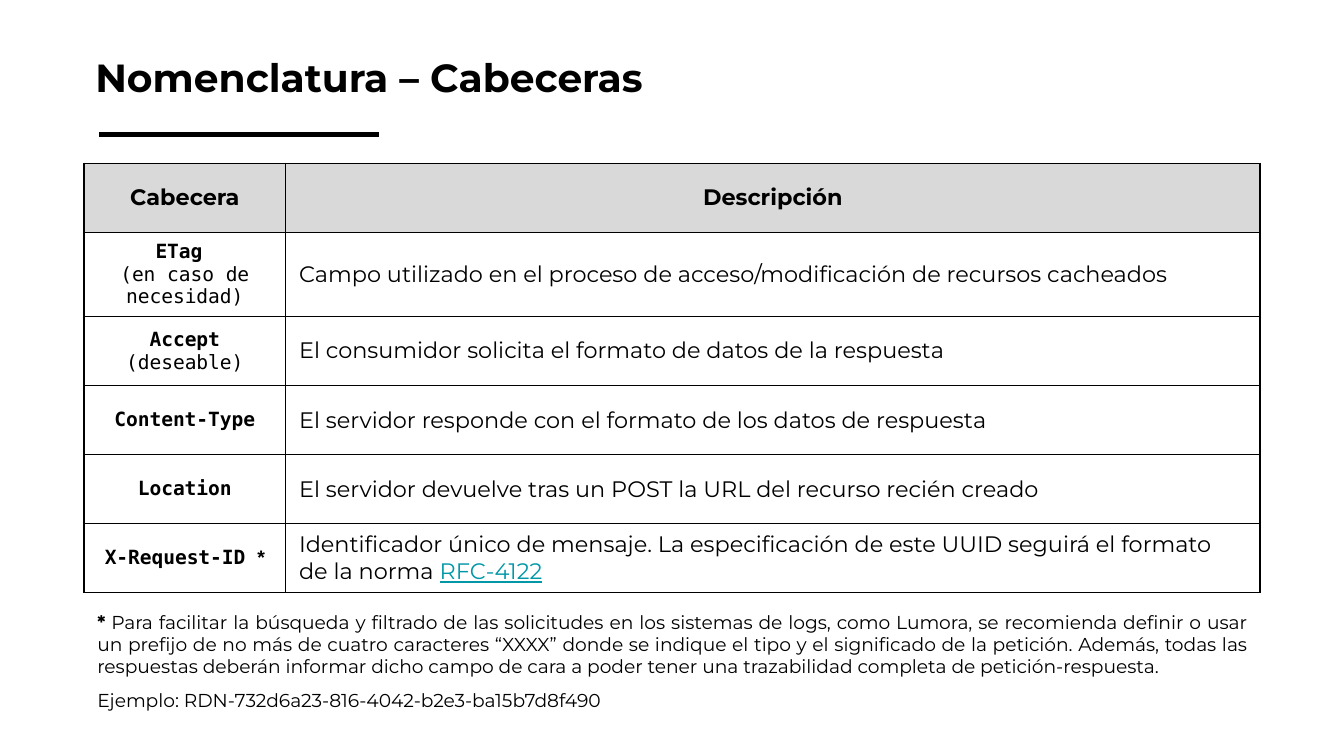
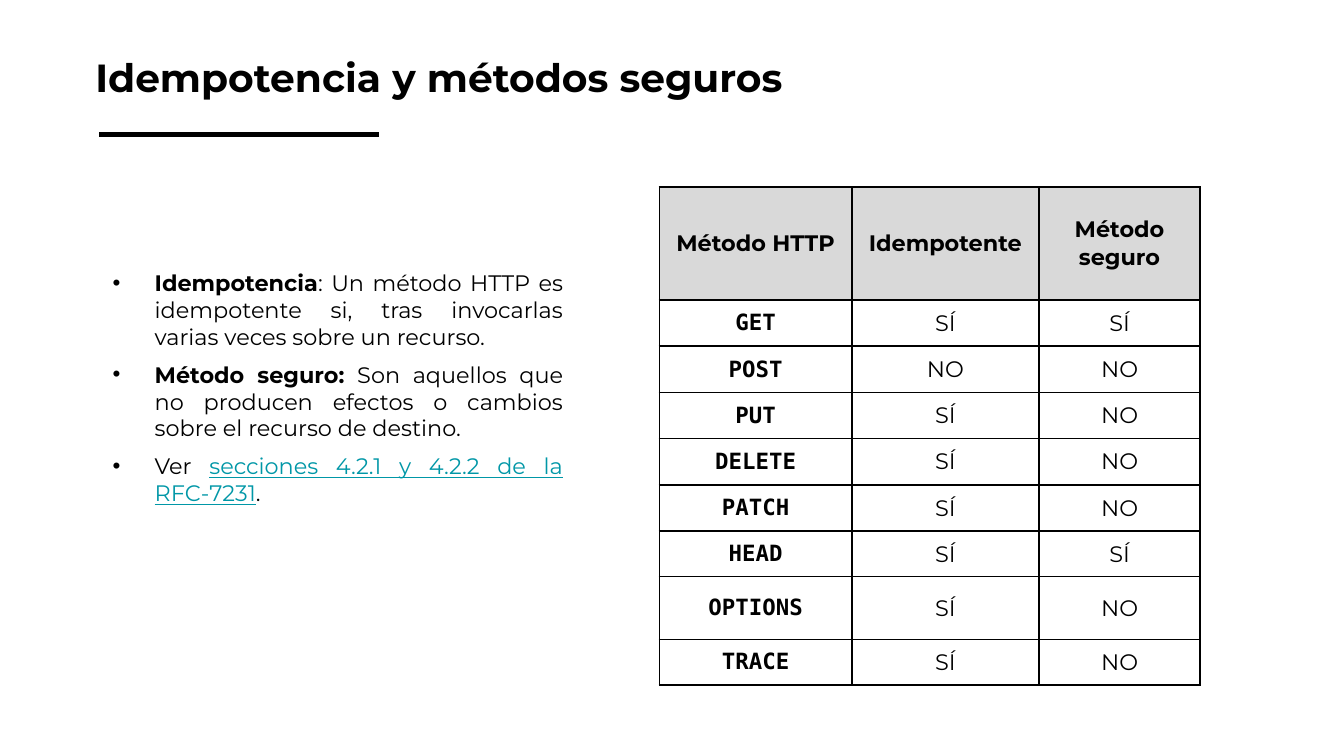
from lxml.etree import SubElement
from pptx import Presentation
from pptx.dml.color import RGBColor
from pptx.enum.shapes import MSO_CONNECTOR
from pptx.enum.text import MSO_ANCHOR, MSO_AUTO_SIZE, PP_ALIGN
from pptx.oxml.ns import qn
from pptx.util import Pt

BLACK = RGBColor(0x00, 0x00, 0x00)
GREY = RGBColor(0xD9, 0xD9, 0xD9)
TEAL = RGBColor(0x00, 0x97, 0xA7)

BODY = dict(name="Montserrat", size=Pt(12), bold=False)
BOLD = BODY | dict(bold=True)
LINK = BODY | dict(color=TEAL, underline=True)
TITLE = BOLD | dict(size=Pt(21))
NOTE = BODY | dict(size=Pt(10))
NOTE_BOLD = NOTE | dict(bold=True)
METHOD = BOLD | dict(name="DejaVu Sans Mono")
CODE = METHOD | dict(size=Pt(10.5))
CODE_PLAIN = CODE | dict(bold=False)
STAR = CODE | dict(name="Arial")

CENTER = dict(alignment=PP_ALIGN.CENTER)
LEFT = dict(alignment=PP_ALIGN.LEFT)
JUSTIFIED = dict(alignment=PP_ALIGN.JUSTIFY, space_after=Pt(6))


def apply(target, values):
    for key, value in values.items():
        setattr(target, key, value)


class Deck:
    def __init__(self):
        self.prs = Presentation()
        self.prs.slide_width, self.prs.slide_height = Pt(720), Pt(405)
        self.s = None

    def slide(self, title):
        self.s = self.prs.slides.add_slide(self.prs.slide_layouts[6])
        self.rule(53.3, 72, 203)
        self.text((44, 17.4, 473, 44), [[(title, TITLE)]], dict(line_spacing=1.15),
                  margin_left=Pt(7.2), margin_right=Pt(7.2), margin_top=Pt(7.2),
                  margin_bottom=Pt(7.2), vertical_anchor=MSO_ANCHOR.MIDDLE)

    def rule(self, x1, y, x2):
        line = self.s.shapes.add_connector(MSO_CONNECTOR.STRAIGHT, Pt(x1), Pt(y), Pt(x2), Pt(y))
        line.line.color.rgb = BLACK
        line.line.width = Pt(3)
        SubElement(line._element.spPr, qn("a:effectLst"))

    def fill_text(self, tf, paragraphs, layout, bullet=False):
        for i, runs in enumerate(paragraphs):
            p = tf.add_paragraph() if i else tf.paragraphs[0]
            apply(p, layout)
            if bullet:
                self.bullet(p)
            for text, style in runs:
                r = p.add_run()
                r.text = text
                r.font.color.rgb = style.get("color", BLACK)
                apply(r.font, {k: v for k, v in style.items() if k != "color"})

    def bullet(self, p):
        pPr = p._p.get_or_add_pPr()
        pPr.set("marL", str(Pt(22.5)))
        pPr.set("indent", str(-Pt(22.5)))
        color = SubElement(pPr, qn("a:buClr"))
        SubElement(color, qn("a:srgbClr"), val=str(BLACK))
        SubElement(pPr, qn("a:buFont"), typeface="Arial")
        SubElement(pPr, qn("a:buChar"), char="•")

    def text(self, box, paragraphs, layout, bullet=False, **frame):
        tf = self.s.shapes.add_textbox(*map(Pt, box)).text_frame
        apply(tf, dict(word_wrap=True, auto_size=MSO_AUTO_SIZE.SHAPE_TO_FIT_TEXT) | frame)
        self.fill_text(tf, paragraphs, layout, bullet)

    def borders(self, cell):
        tcPr = cell._tc.get_or_add_tcPr()
        for side in ("lnL", "lnR", "lnT", "lnB"):
            ln = SubElement(tcPr, qn(f"a:{side}"), w=str(Pt(1)))
            fill = SubElement(ln, qn("a:solidFill"))
            SubElement(fill, qn("a:srgbClr"), val=str(BLACK))

    def table(self, left, top, widths, heights, header, rows, layouts):
        frame = self.s.shapes.add_table(len(heights), len(widths), Pt(left), Pt(top),
                                        Pt(sum(widths)), Pt(sum(heights)))
        table = frame.table
        table.horz_banding = False
        for column, width in zip(table.columns, widths):
            column.width = Pt(width)
        for row, height in zip(table.rows, heights):
            row.height = Pt(height)
        header_row = [[[(label, BOLD)]] for label in header]
        for i, row in enumerate([header_row] + rows):
            for j, paragraphs in enumerate(row):
                cell = table.cell(i, j)
                cell.vertical_anchor = MSO_ANCHOR.MIDDLE
                self.borders(cell)
                if i:
                    cell.fill.background()
                else:
                    cell.fill.solid()
                    cell.fill.fore_color.rgb = GREY
                self.fill_text(cell.text_frame, paragraphs, layouts[j] if i else CENTER)


def headers_slide(deck):
    deck.slide("Nomenclatura – Cabeceras")
    headers = [
        ([[("ETag ", CODE)], [("(en caso de necesidad)", CODE_PLAIN)]],
         [("Campo utilizado en el proceso de acceso/modificación de recursos cacheados", BODY)]),
        ([[("Accept", CODE), (" (deseable)", CODE_PLAIN)]],
         [("El consumidor solicita el formato de datos de la respuesta", BODY)]),
        ([[("Content-Type", CODE)]],
         [("El servidor responde con el formato de los datos de respuesta", BODY)]),
        ([[("Location", CODE)]],
         [("El servidor devuelve tras un POST la URL del recurso recién creado", BODY)]),
        ([[("X-Request-ID ", CODE), ("*", STAR)]],
         [("Identificador único de mensaje. La especificación de este UUID seguirá "
           "el formato de la norma ", BODY), ("RFC-4122", LINK)]),
    ]
    deck.table(45, 87.5, [108, 522], [37, 45] + [37] * 4, ["Cabecera", "Descripción"],
               [[name, [description]] for name, description in headers], [CENTER, LEFT])
    deck.text((45, 323.5, 630, 62), [
        [("*", NOTE_BOLD),
         (" Para facilitar la búsqueda y filtrado de las solicitudes en los sistemas de logs, "
          "como Lumora, se recomienda definir o usar un prefijo de no más de cuatro caracteres "
          "“XXXX” donde se indique el tipo y el significado de la petición. Además, todas las "
          "respuestas deberán informar dicho campo de cara a poder tener una trazabilidad "
          "completa de petición-respuesta.", NOTE)],
        [("Ejemplo: RDN-732d6a23-816-4042-b2e3-ba15b7d8f490", NOTE)],
    ], JUSTIFIED)


def methods_slide(deck):
    deck.slide("Idempotencia y métodos seguros")
    methods = [
        ("GET", "SÍ", "SÍ"),
        ("POST", "NO", "NO"),
        ("PUT", "SÍ", "NO"),
        ("DELETE", "SÍ", "NO"),
        ("PATCH", "SÍ", "NO"),
        ("HEAD", "SÍ", "SÍ"),
        ("OPTIONS", "SÍ", "NO"),
        ("TRACE", "SÍ", "NO"),
    ]
    rows = [[[[(text, style)]] for text, style in zip(row, (METHOD, BODY, BODY))]
            for row in methods]
    deck.table(353.3, 100.2, [103, 100.4, 86.2], [60.5] + [24.8] * 5 + [24.4, 33.6, 24.4],
               ["Método HTTP", "Idempotente", "Método seguro"], rows, [CENTER] * 3)
    deck.text((53.3, 140.5, 255.6, 140.5), [
        [("Idempotencia", BOLD),
         (": Un método HTTP es idempotente si, tras invocarlas varias veces sobre un recurso.",
          BODY)],
        [("Método seguro:", BOLD),
         (" Son aquellos que no producen efectos o cambios sobre el recurso de destino.", BODY)],
        [("Ver ", BODY), ("secciones 4.2.1 y 4.2.2 de la RFC-7231", LINK), (".", BODY)],
    ], JUSTIFIED, bullet=True)


def main():
    deck = Deck()
    headers_slide(deck)
    methods_slide(deck)
    deck.prs.save("out.pptx")


if __name__ == "__main__":
    main()
